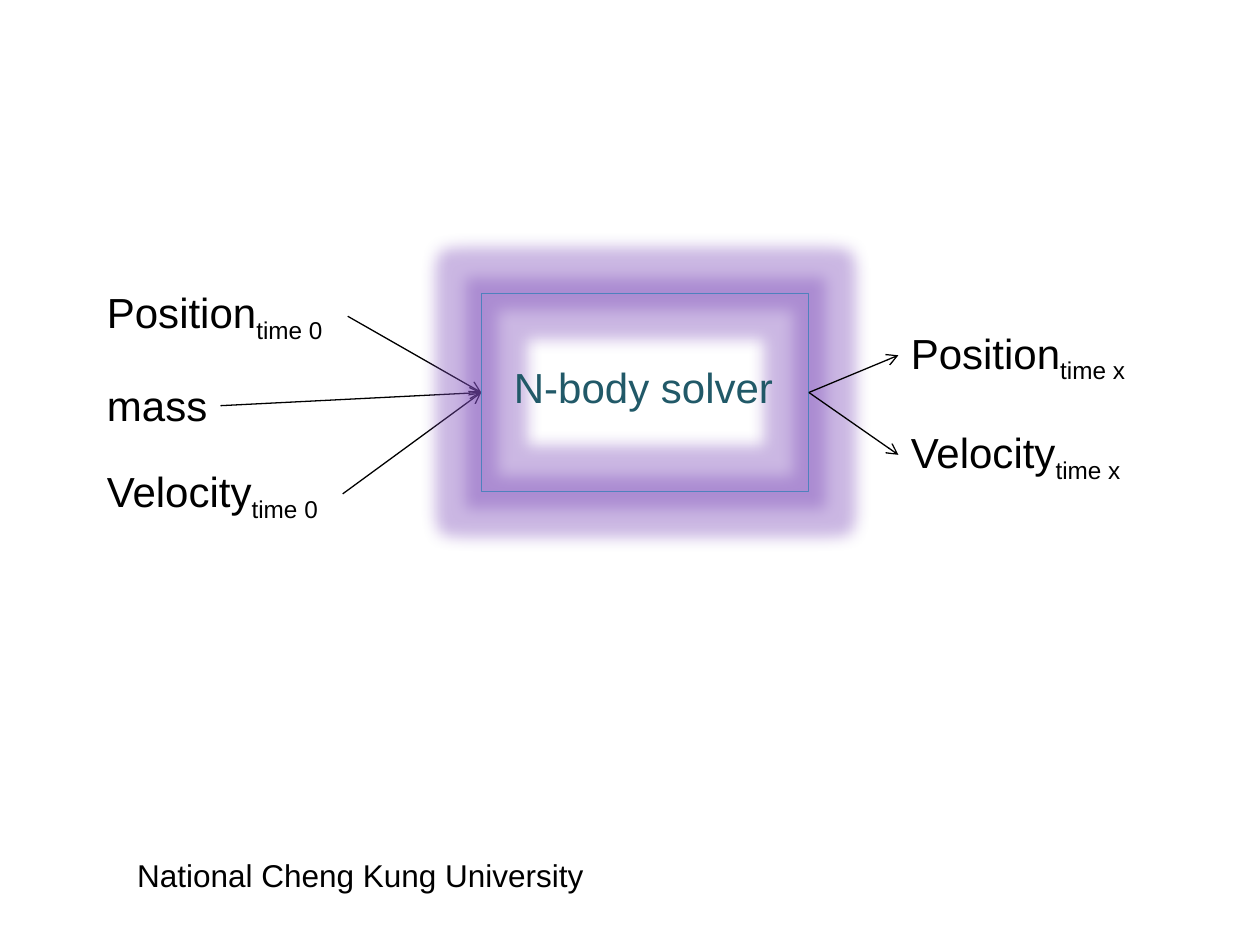
"""Build a slide showing the inputs and outputs of an N-body solver."""
from lxml import etree
from pptx import Presentation, util as u
from pptx.dml.color import RGBColor
from pptx.enum import shapes, text
from pptx.oxml import parse_xml
from pptx.oxml.ns import nsdecls, qn


def label(host, box, words, size=24, tint="000000", sub="", wrap=False):
    """Add a text box, with an optional subscript after its words."""
    frame = host.add_textbox(*map(u.Inches, box)).text_frame
    frame.word_wrap = wrap
    frame.vertical_anchor = text.MSO_ANCHOR.MIDDLE
    para = frame.paragraphs[0]
    para.font.name, para.font.size = "Arial", u.Pt(size)
    para.font.color.rgb = RGBColor.from_string(tint)
    para.add_run().text = words
    if sub:
        run = para.add_run()
        run.text = sub
        run.font._element.set("baseline", "-25000")


def arrow(host, start, end):
    """Add a thin black line with an open arrowhead at its end."""
    line = host.add_connector(shapes.MSO_CONNECTOR.STRAIGHT,
                              *map(u.Inches, start + end))
    line.line.width = u.Pt(0.75)
    line.line.color.rgb = RGBColor.from_string("000000")
    etree.SubElement(line.line._get_or_add_ln(), qn("a:tailEnd"), type="arrow")
    etree.SubElement(line._element.spPr, qn("a:effectLst"))


deck = Presentation()
deck.slide_width, deck.slide_height = u.Inches(10), u.Inches(7.5)
slide = deck.slides.add_slide(deck.slide_layouts[6])
items = slide.shapes

label(items, (0.99, 6.74, 5.35, 0.4), "National Cheng Kung University", 18, wrap=True)

left, top, wide, high = 3.82, 2.33, 2.6, 1.57
middle = top + high / 2
entry, exit_ = (left, middle), (left + wide, middle)

inputs = [("Position", "time 0", 2.01, 2.76, 2.51),
          ("mass", "", 1.01, 1.75, 3.22),
          ("Velocity", "time 0", 1.97, 2.72, 3.92)]
for row, (name, sub, width, x, y) in enumerate(inputs):
    label(items, (0.75, 2.25 + 0.71 * row, width, 0.51), name, sub=sub)
    arrow(items, (x, y), entry)

group = items.add_group_shape().shapes
solver = group.add_shape(shapes.MSO_SHAPE.RECTANGLE,
                         *map(u.Inches, (left, top, wide, high)))
solver.fill.background()
solver.line.width = u.Pt(0.75)
solver.line.color.rgb = RGBColor.from_string("4F81BD")
solver._element.spPr.append(parse_xml(
    f'<a:effectLst {nsdecls("a")}><a:glow rad="{u.Pt(18)}"><a:srgbClr val="7D4DB9">'
    '<a:alpha val="40000"/></a:srgbClr></a:glow></a:effectLst>'))
label(group, (3.98, 2.81, 2.28, 0.51), "N-body solver", tint="215968")

for row, name in enumerate(["Position", "Velocity"]):
    y = 2.57 + 0.79 * row
    label(items, (7.13, y, 2.02, 0.51), name, sub="time x")
    arrow(items, exit_, (7.13, y + 0.25))

deck.save("out.pptx")
